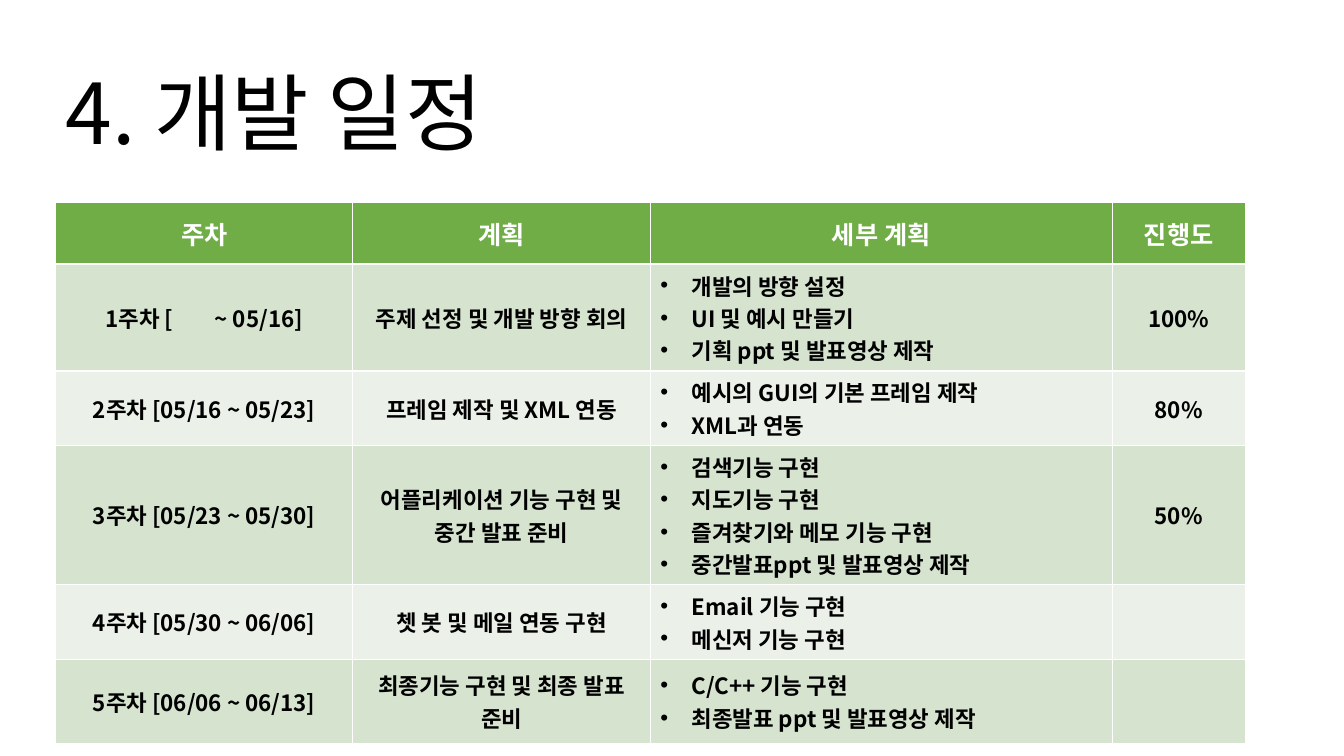
from dataclasses import dataclass

from lxml.etree import SubElement
from pptx import Presentation
from pptx.dml.color import RGBColor
from pptx.enum.text import MSO_ANCHOR as Anchor, MSO_AUTO_SIZE as Fit, PP_ALIGN as Align
from pptx.oxml.ns import qn
from pptx.util import Inches, Pt

FONT = "Noto Sans CJK KR"
BLACK = RGBColor(0x00, 0x00, 0x00)
WHITE = RGBColor(0xFF, 0xFF, 0xFF)
GREEN = RGBColor(0x70, 0xAD, 0x47)
BANDS = (RGBColor(0xD5, 0xE3, 0xCF), RGBColor(0xEB, 0xF1, 0xE9))

HEADS = ("주차", "계획", "세부 계획", "진행도")
WIDTHS = (2.95, 2.95, 4.58, 1.32)
HEIGHTS = (0.61, 0.61, 0.61, 0.83, 0.61, 0.83)
INDENT = Inches(0.31)
GAP = Pt(26)


@dataclass
class Week:
    start: str
    end: str
    plan: str
    tasks: tuple[str, ...]
    done: str = ""


WEEKS = (
    Week("", "05/16", "주제 선정 및 개발 방향 회의",
         ("개발의 방향 설정", "UI 및 예시 만들기", "기획 ppt 및 발표영상 제작"), "100%"),
    Week("05/16", "05/23", "프레임 제작 및 XML 연동",
         ("예시의 GUI의 기본 프레임 제작", "XML과 연동"), "80%"),
    Week("05/23", "05/30", "어플리케이션 기능 구현 및 중간 발표 준비",
         ("검색기능 구현", "지도기능 구현", "즐겨찾기와 메모 기능 구현",
          "중간발표ppt 및 발표영상 제작"), "50%"),
    Week("05/30", "06/06", "쳇 봇 및 메일 연동 구현",
         ("Email 기능 구현", "메신저 기능 구현")),
    Week("06/06", "06/13", "최종기능 구현 및 최종 발표 준비",
         ("C/C++ 기능 구현", "최종발표 ppt 및 발표영상 제작")),
)


def style(para, size: int, color: RGBColor, bold: bool = False) -> None:
    font = para.font
    font.name, font.size, font.bold = FONT, Pt(size), bold
    font.color.rgb = color
    # Hangul takes the East Asian typeface
    props = para._p.pPr.find(qn("a:defRPr"))
    SubElement(props, qn("a:ea")).set("typeface", FONT)


def bullet(para) -> None:
    props = para._p.get_or_add_pPr()
    props.set("marL", str(INDENT))
    props.set("indent", str(-INDENT))
    SubElement(props, qn("a:buFont")).set("typeface", "Arial")
    SubElement(props, qn("a:buChar")).set("char", "•")


def fill(cell, text: str, back: RGBColor, size: int = 16,
         color: RGBColor = BLACK, listed: bool = False) -> None:
    cell.fill.solid()
    cell.fill.fore_color.rgb = back
    cell.vertical_anchor = Anchor.MIDDLE
    cell.text = text
    for para in cell.text_frame.paragraphs:
        if listed:
            bullet(para)
        else:
            para.alignment = Align.CENTER
        style(para, size, color, bold=True)


def open_start(cell, head: str, tail: str) -> None:
    """Leave room for a start date by widening one space."""
    para = cell.text_frame.paragraphs[0]
    para.runs[0].text = head
    space = para.add_run()
    space.text = " "
    space._r.get_or_add_rPr().set("spc", str(int(GAP.pt * 100)))
    para.add_run().text = tail


def add_title(slide) -> None:
    title = slide.shapes.title
    title.left, title.top = Inches(0.55), Inches(0.49)
    title.width, title.height = Inches(5.42), Inches(1.17)
    frame = title.text_frame
    frame.text = "4. 개발 일정"
    frame.auto_size = Fit.NONE
    frame.vertical_anchor = Anchor.BOTTOM
    para = frame.paragraphs[0]
    para.alignment = Align.LEFT
    para.line_spacing = 0.9
    style(para, 60, BLACK)


def add_plan(slide) -> None:
    table = slide.shapes.add_table(
        len(HEIGHTS), len(WIDTHS), Inches(0.55), Inches(2.01),
        Inches(sum(WIDTHS)), Inches(sum(HEIGHTS))).table
    for col, width in zip(table.columns, WIDTHS):
        col.width = Inches(width)
    for row, height in zip(table.rows, HEIGHTS):
        row.height = Inches(height)

    # Header row
    for col, head in enumerate(HEADS):
        fill(table.cell(0, col), head, GREEN, 18, WHITE)

    # One row per week
    for num, week in enumerate(WEEKS, 1):
        back = BANDS[(num - 1) % 2]
        head, tail = f"{num}주차 [", f"~ {week.end}]"
        texts = (f"{head}{week.start} {tail}", week.plan, "\n".join(week.tasks), week.done)
        for col, text in enumerate(texts):
            fill(table.cell(num, col), text, back, listed=col == 2)
        if not week.start:
            open_start(table.cell(num, 0), head, tail)


def main() -> None:
    deck = Presentation()
    deck.slide_width, deck.slide_height = Inches(13.33), Inches(7.5)
    slide = deck.slides.add_slide(deck.slide_layouts[5])
    add_title(slide)
    add_plan(slide)
    deck.save("out.pptx")


if __name__ == "__main__":
    main()
